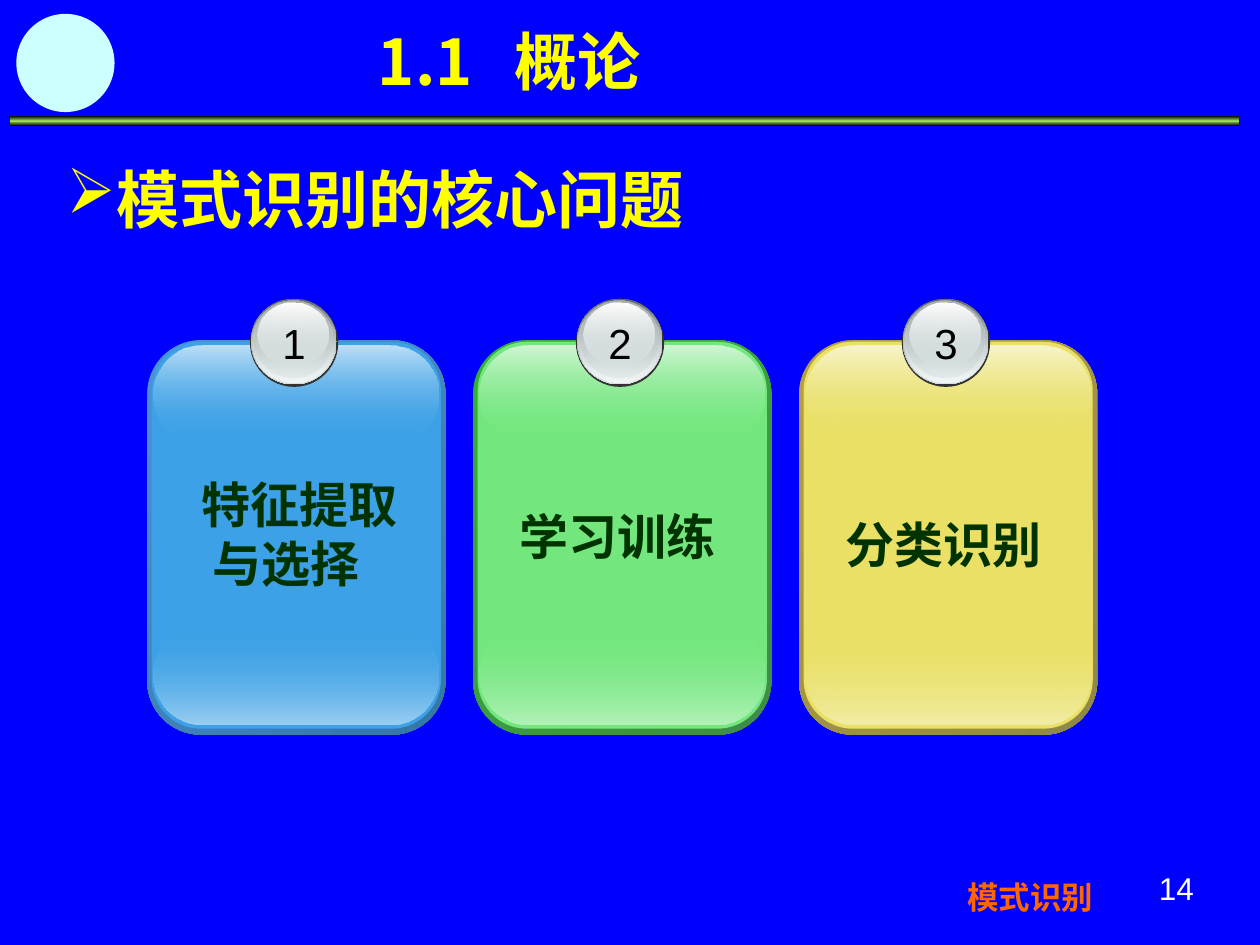
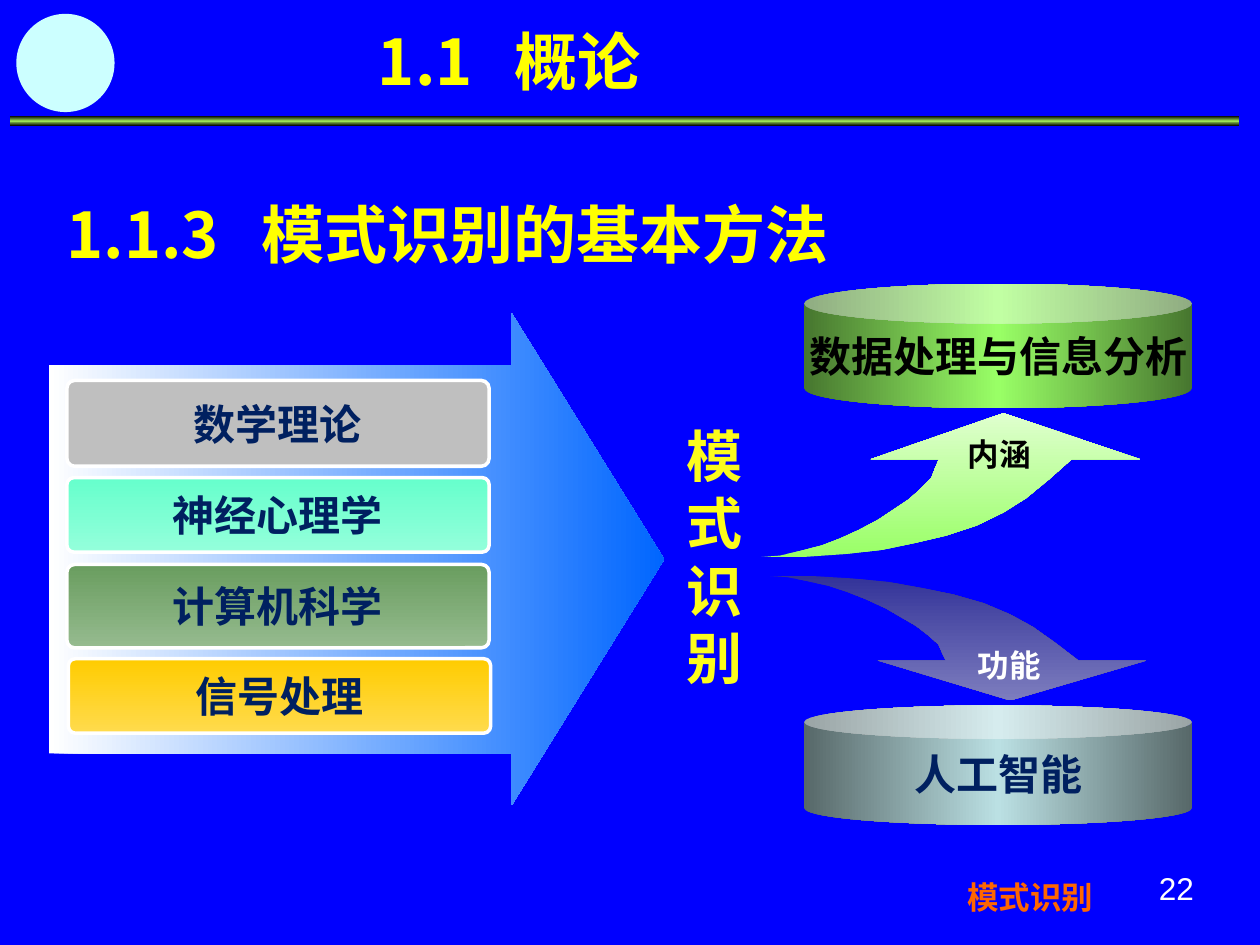
from dataclasses import dataclass
from lxml.etree import SubElement
from pptx import Presentation
from pptx.dml.color import RGBColor
from pptx.enum.shapes import MSO_SHAPE as Shape
from pptx.enum.text import MSO_ANCHOR as Anchor, PP_ALIGN as Align
from pptx.oxml.ns import qn
from pptx.util import Cm, Pt


@dataclass(frozen=True)
class Theme:
    background: str = "0000FF"
    heading: str = "FFFF00"
    column: str = "FCFC1C"
    footer: str = "FF6600"
    disc: str = "CCFFFF"
    navy: str = "002060"
    card_text: str = "003300"
    white: str = "FFFFFF"
    black: str = "000000"
    band: tuple = ("000000", "9CE157", "000000")
    heading_size: int = 36
    column_size: int = 32
    card_size: int = 28
    label_size: int = 24
    small_size: int = 18
    sans: str = "Arial"
    card_font: str = "DejaVu Sans"
    serif: str = "Times New Roman"
    cjk: str = "Noto Sans CJK SC"


BADGE_LAYERS = [
    (0, 0, 1.78, 1.78, "333333"),
    (0.02, 0, 1.73, 1.73, ("636869", "D6E1E2")),
    (0.04, 0.02, 1.68, 1.68, (("D6E1E2", 0), "F1F5F5")),
    (0.07, 0.03, 1.6, 1.57, ("AAB2B3", ("D6E1E2", 48))),
    (0.16, 0.07, 1.42, 1.27, ("FFFFFF", ("D6E1E2", 38))),
]
SWOOSH = [
    (0, 0), (0.11, 0), (0.22, 0.02), (0.32, 0.05), (0.41, 0.1), (0.49, 0.15),
    (0.57, 0.22), (0.64, 0.31), (0.7, 0.41), (0.76, 0.54), (0.82, 0.68),
    (1, 0.68), (0.64, 1), (0.29, 0.68), (0.47, 0.68), (0.46, 0.62),
    (0.45, 0.55), (0.42, 0.47), (0.39, 0.4), (0.35, 0.33), (0.31, 0.26),
    (0.26, 0.19), (0.21, 0.13), (0.16, 0.08), (0.1, 0.04), (0.05, 0.01),
]


def write(tf, text, size, color, font, bold=True, align=Align.LEFT,
          spacing=None, bullet=None, tab=None, indents=()):
    for i, line in enumerate(text.split("\n")):
        p = tf.paragraphs[0] if i == 0 else tf.add_paragraph()
        p.alignment = align
        if spacing:
            p.line_spacing = spacing
        pPr = p._p.get_or_add_pPr()
        if i < len(indents):
            pPr.set("marL", str(Cm(indents[i])))
        if bullet:
            pPr.set("marL", str(Cm(0.95)))
            pPr.set("indent", str(-Cm(0.95)))
            clr = SubElement(pPr, qn("a:buClr"))
            SubElement(clr, qn("a:srgbClr"), val=color)
            SubElement(pPr, qn("a:buChar"), char=bullet)
        if tab:
            tabs = SubElement(pPr, qn("a:tabLst"))
            SubElement(tabs, qn("a:tab"), pos=str(Cm(tab)), algn="l")
        r = p.add_run()
        r.text = line
        r.font.size = Pt(size)
        r.font.bold = bold
        r.font.name = font
        r.font.color.rgb = RGBColor.from_string(color)


class Deck:
    def __init__(self, theme):
        self.theme = theme
        self.prs = Presentation()
        self.prs.slide_width = Cm(25.4)
        self.prs.slide_height = Cm(19.05)
        self.slide = None

    def new_slide(self, number):
        t = self.theme
        self.slide = self.prs.slides.add_slide(self.prs.slide_layouts[6])
        fill = self.slide.background.fill
        fill.solid()
        fill.fore_color.rgb = RGBColor.from_string(t.background)
        self.shape(Shape.RECTANGLE, 0.2, 2.34, 24.77, 0.2, t.band, angle=90)
        self.shape(Shape.OVAL, 0.33, 0.28, 1.98, 1.98, t.disc)
        self.text("模式识别", 19.25, 17.58, 4.27, 1.02, size=t.small_size,
                  color=t.footer, font=t.sans)
        self.text(str(number), 23.11, 17.4, 1.65, 1.32, size=t.small_size,
                  color=t.white, font=t.sans, bold=False)
        self.heading("1.1\t概论", 7.37, -0.05, 7.16, tab=2.75)

    def paint(self, sp, fill, angle=90, line=None):
        sp.shadow.inherit = False
        if isinstance(fill, str):
            sp.fill.solid()
            sp.fill.fore_color.rgb = RGBColor.from_string(fill)
        else:
            sp.fill.gradient()
            sp.fill.gradient_angle = (360 - angle) % 360
            stops = sp._element.spPr.find(qn("a:gradFill")).find(qn("a:gsLst"))
            for gs in list(stops):
                stops.remove(gs)
            for i, stop in enumerate(fill):
                color, alpha = (stop, 100) if isinstance(stop, str) else stop
                gs = SubElement(stops, qn("a:gs"), pos=str(100000 * i // (len(fill) - 1)))
                clr = SubElement(gs, qn("a:srgbClr"), val=color)
                if alpha < 100:
                    SubElement(clr, qn("a:alpha"), val=str(alpha * 1000))
        if line:
            sp.line.color.rgb = RGBColor.from_string(line)
            sp.line.width = Pt(2)
        else:
            sp.line.fill.background()

    def shape(self, kind, x, y, w, h, fill, angle=90, line=None, adj=()):
        sp = self.slide.shapes.add_shape(kind, Cm(x), Cm(y), Cm(w), Cm(h))
        for i, value in enumerate(adj):
            sp.adjustments[i] = value
        self.paint(sp, fill, angle, line)
        return sp

    def text(self, text, x, y, w, h, anchor=Anchor.TOP, **fmt):
        tf = self.slide.shapes.add_textbox(Cm(x), Cm(y), Cm(w), Cm(h)).text_frame
        tf.word_wrap = True
        tf.vertical_anchor = anchor
        write(tf, text, **fmt)

    def heading(self, text, x, y, w, font=None, **fmt):
        t = self.theme
        self.text(text, x, y, w, 2.16, size=t.heading_size, color=t.heading,
                  font=font or t.cjk, spacing=1.25, **fmt)

    def label(self, sp, text, color):
        tf = sp.text_frame
        tf.word_wrap = False
        tf.vertical_anchor = Anchor.MIDDLE
        write(tf, text, size=self.theme.label_size, color=color,
              font=self.theme.sans, align=Align.CENTER)

    def badge(self, number, x, y):
        for dx, dy, w, h, fill in BADGE_LAYERS:
            self.shape(Shape.OVAL, x + dx, y + dy, w, h, fill)
        self.text(number, x, y + 0.25, 1.78, 1.27, size=self.theme.label_size,
                  color=self.theme.black, font=self.theme.sans, bold=False,
                  align=Align.CENTER)

    def card(self, number, x, rim, face, low, high):
        box = Shape.ROUNDED_RECTANGLE
        self.shape(box, x, 6.86, 6.01, 7.95, rim, angle=45, adj=[0.18])
        self.shape(box, x + 0.09, 6.89, 5.83, 7.8, face, adj=[0.17])
        self.shape(box, x + 0.13, 12.62, 5.74, 1.98, ((face, 0), low), adj=[0.5])
        self.shape(box, x + 0.13, 6.96, 5.74, 1.96, (high, (face, 0)), adj=[0.5])
        self.badge(number, x + 2.07, 6.02)

    def swoosh(self, x, y, w, h, fill, angle):
        points = [(Cm(x + u * w), Cm(y + v * h)) for u, v in SWOOSH]
        builder = self.slide.shapes.build_freeform(*points[0])
        builder.add_line_segments(points[1:], close=True)
        self.paint(builder.convert_to_shape(), fill, angle)

    def can(self, text, y, h, adj, edge, middle, color):
        sp = self.shape(Shape.CAN, 16.21, y, 7.82, h, (edge, middle, edge),
                        angle=0, adj=[adj])
        self.label(sp, text, color)


def core_problems(deck):
    t = deck.theme
    deck.new_slide(14)
    deck.heading("模式识别的核心问题", 1.09, 2.74, 22.86, font=t.serif, bullet="➢")
    cards = [
        (("4E91D4", "3477A4"), "3CA1E6", "9BCFF2", "BEE0F7",
         "特征提取\n与选择", 0.84, 9.45, (0, 0.23)),
        (("34B034", "3F8B4A"), "73E77E", "B3F2B9", "D0F7D4",
         "学习训练", 0.69, 10.08, ()),
        (("B59F43", "8F8849"), "E9E065", "F2EDA6", "F8F5CC",
         "分类识别", 0.69, 10.24, ()),
    ]
    for i, (rim, face, low, high, text, dx, y, indents) in enumerate(cards):
        x = 2.97 + i * 6.57
        deck.card(str(i + 1), x, rim, face, low, high)
        deck.text(text, x + dx, y, 5.13, 1.45, size=t.card_size,
                  color=t.card_text, font=t.card_font, indents=indents)


def basic_methods(deck):
    t = deck.theme
    deck.new_slide(22)
    deck.heading("1.1.3\t模式识别的基本方法", 1.09, 3.43, 22.86, tab=3.94)
    deck.text("模\n式\n识\n别", 11.61, 7.21, 5.59, 8, anchor=Anchor.MIDDLE,
              size=t.column_size, color=t.column, font=t.cjk, align=Align.CENTER)
    deck.shape(Shape.RIGHT_ARROW, 0.99, 6.32, 12.4, 9.91, ("FFFFFF", "0066FF"),
               angle=0, adj=[0.79, 0.31])
    topics = [
        ("数学理论", 1.35, 7.67, 1.73, "BFBFBF"),
        ("神经心理学", 1.35, 9.63, 1.5, ("66FFCC", "94FFDB")),
        ("计算机科学", 1.35, 11.38, 1.68, ("699D5F", "96BB8F")),
        ("信号处理", 1.38, 13.28, 1.5, ("FFCC00", "FFDB4D")),
    ]
    for text, x, y, h, fill in topics:
        sp = deck.shape(Shape.ROUNDED_RECTANGLE, x, y, 8.51, h, fill,
                        line=t.white, adj=[0.09])
        deck.label(sp, text, t.navy)
    deck.swoosh(15.49, 11.61, 7.62, 2.51, ("333399", "7D7DBE"), 90)
    deck.swoosh(15.34, 11.23, 7.64, -2.9, ("99FF66", "DFFFCE"), 270)
    deck.can("人工智能", 14.22, 2.41, 0.28, "576869", "BBE0E3", t.navy)
    deck.can("数据处理与信息分析", 5.72, 2.51, 0.32, "47762F", "99FF66", t.black)
    for text, x, y, color in [("内涵", 18.39, 8.64, t.black),
                              ("功能", 18.59, 12.9, t.white)]:
        deck.text(text, x, y, 3.51, 1.02, size=t.small_size, color=color,
                  font=t.sans, align=Align.CENTER)


def main():
    deck = Deck(Theme())
    core_problems(deck)
    basic_methods(deck)
    deck.prs.save("out.pptx")


if __name__ == "__main__":
    main()
